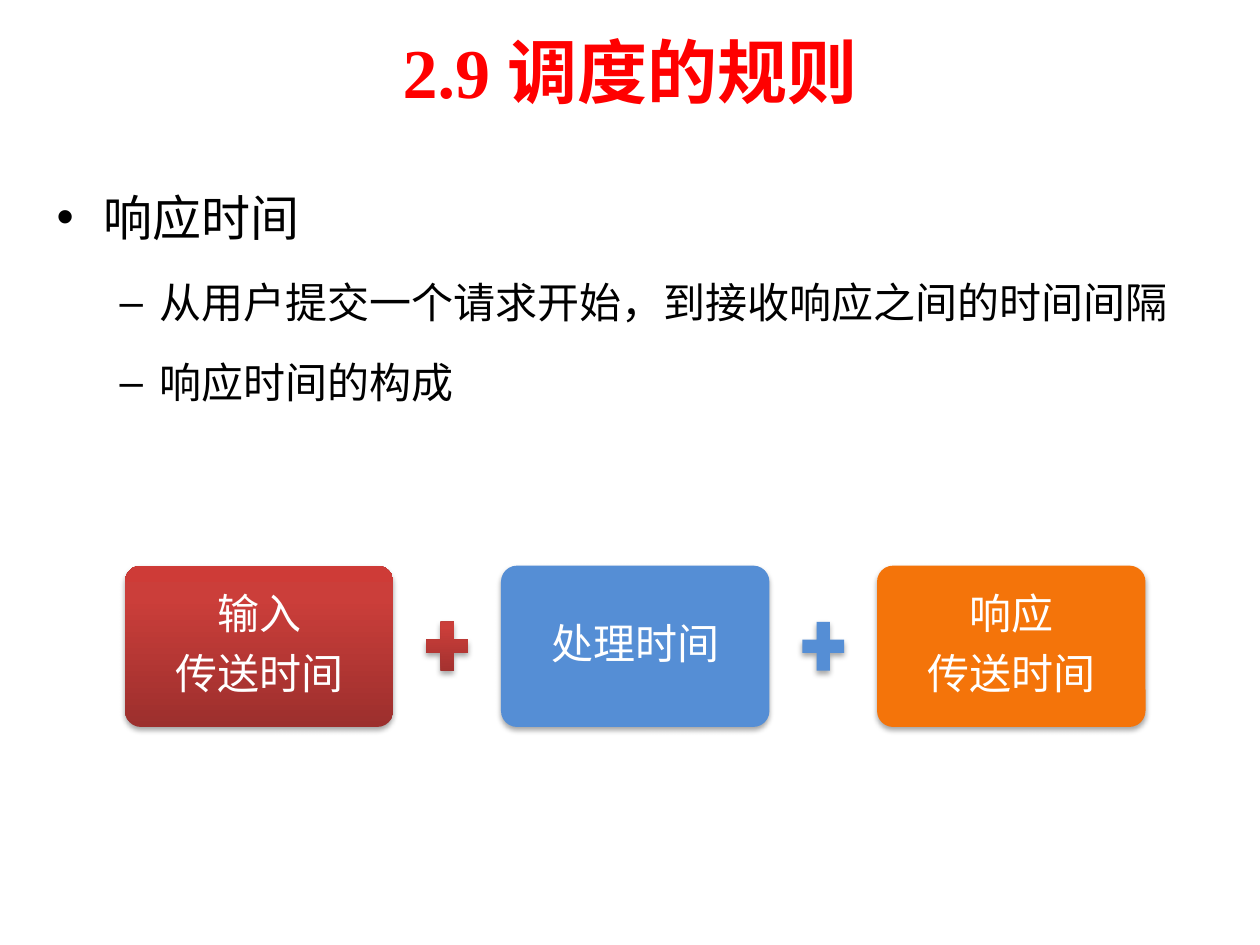
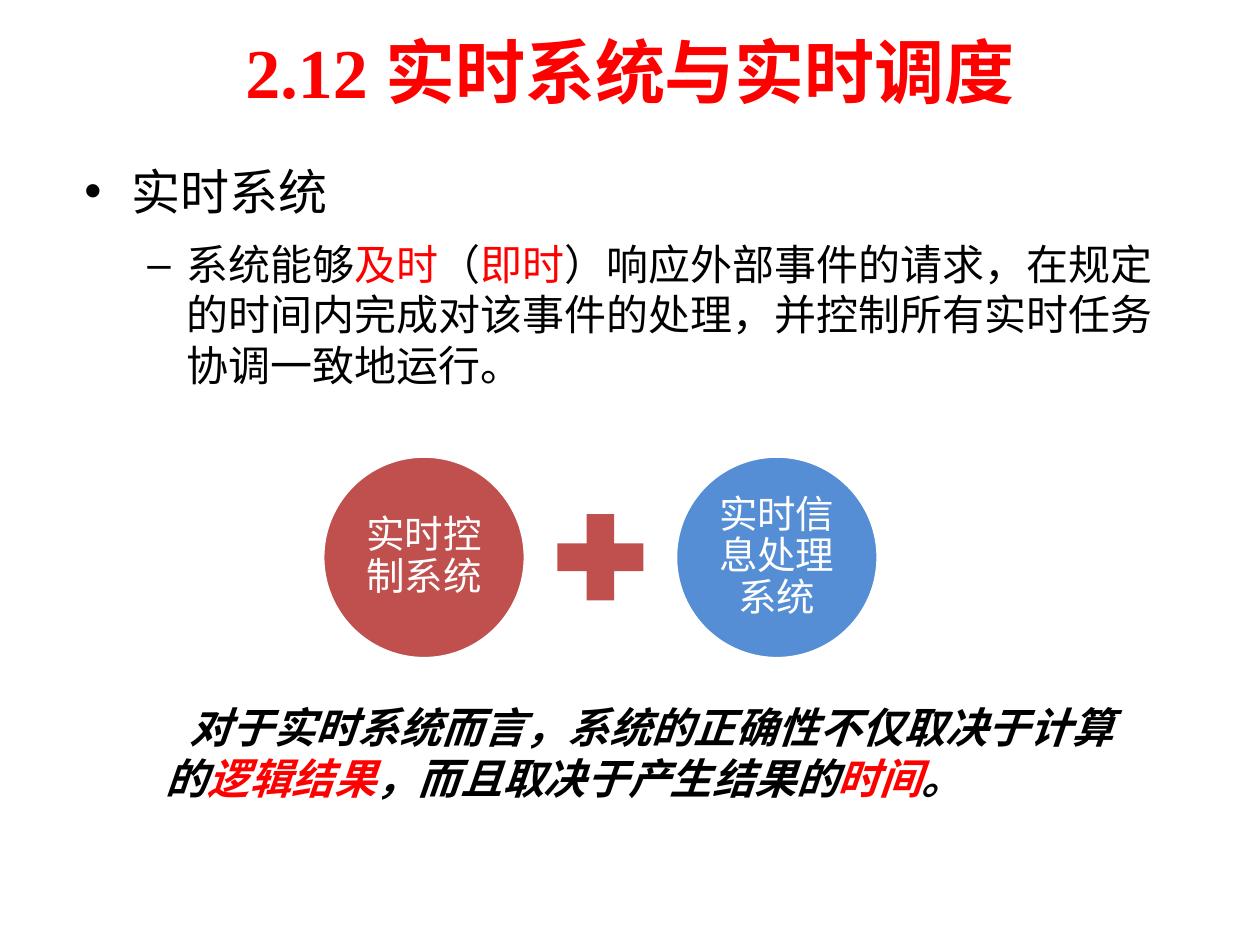
from copy import deepcopy
from dataclasses import dataclass
from typing import Optional

from pptx import Presentation
from pptx.dml.color import RGBColor
from pptx.enum.shapes import MSO_SHAPE
from pptx.enum.text import MSO_ANCHOR, MSO_AUTO_SIZE, PP_ALIGN
from pptx.oxml import parse_xml
from pptx.oxml.ns import nsdecls, qn
from pptx.util import Pt

# Shared look
RED, BLACK, WHITE = "FF0000", "000000", "FFFFFF"
BRICK, BLUE, ORANGE = "C0504D", "558ED5", "F4740A"
GLOSS = ((0, "9C2F2D"), (0.8, "CB3E3A"), (1, "CE3B37"))
SERIF, SANS, PLAIN = "Times New Roman", "Arial", "Calibri"
SIZES = (28, 24)

Words = tuple[str, str]


@dataclass
class Item:
    words: list[Words]
    level: int = 0
    font: str = SERIF


@dataclass
class Node:
    lines: list[str]
    fill: str | tuple


@dataclass
class Row:
    """Equal shapes with a plus sign centred in each gap."""
    kind: MSO_SHAPE
    left: float
    top: float
    wide: float
    high: float
    step: float
    plus: tuple[float, float]
    size: float
    inset: float
    round: Optional[float] = None
    edge: Optional[str] = None
    shade: bool = False


def rgb(code: str) -> RGBColor:
    return RGBColor.from_string(code)


def place(shape, left: float, top: float, wide: float, high: float) -> None:
    shape.left, shape.top = Pt(left), Pt(top)
    shape.width, shape.height = Pt(wide), Pt(high)


def write(para, words: list[Words]) -> None:
    for text, code in words:
        run = para.add_run()
        run.text = text
        run.font.color.rgb = rgb(code)


def paint(shape, fill: str | tuple) -> None:
    if isinstance(fill, str):
        shape.fill.solid()
        shape.fill.fore_color.rgb = rgb(fill)
        return
    shape.fill.gradient()
    shape.fill.gradient_angle = 90
    stops = shape._element.spPr.find(qn("a:gradFill")).find(qn("a:gsLst"))
    stops.append(deepcopy(stops[-1]))
    for stop, (spot, code) in zip(shape.fill.gradient_stops, fill):
        stop.position = spot
        stop.color.rgb = rgb(code)


def draw(slide, kind: MSO_SHAPE, box: tuple, fill: str | tuple, shade: bool):
    shape = slide.shapes.add_shape(kind, *map(Pt, box))
    paint(shape, fill)
    shape.line.fill.background()
    shape.shadow.inherit = False
    if shade:
        shape._element.spPr.find(qn("a:effectLst")).append(parse_xml(
            f'<a:outerShdw {nsdecls("a")} blurRad="{Pt(3.15)}" dist="{Pt(1.8)}" '
            'dir="5400000" rotWithShape="0"><a:srgbClr val="000000">'
            '<a:alpha val="35000"/></a:srgbClr></a:outerShdw>'))
    return shape


def label(shape, row: Row, lines: list[str]) -> None:
    frame = shape.text_frame
    frame.word_wrap = True
    frame.vertical_anchor = MSO_ANCHOR.MIDDLE
    frame.margin_left = frame.margin_right = Pt(row.inset)
    frame.margin_top = frame.margin_bottom = Pt(row.inset)
    for i, line in enumerate(lines):
        para = frame.add_paragraph() if i else frame.paragraphs[0]
        para.text = line
        para.alignment = PP_ALIGN.CENTER
        para.line_spacing = 0.9
        para.space_after = Pt(round(row.size * 0.35, 1))
        para.font.name, para.font.size = PLAIN, Pt(row.size)
        para.font.color.rgb = rgb(WHITE)


def chain(slide, row: Row, nodes: list[Node]) -> None:
    wide, high = row.plus
    for i, node in enumerate(nodes):
        left = row.left + i * row.step
        shape = draw(slide, row.kind, (left, row.top, row.wide, row.high),
                     node.fill, row.shade)
        if row.round is not None:
            shape.adjustments[0] = row.round
        if row.edge:
            shape.line.color.rgb = rgb(row.edge)
            shape.line.width = Pt(2)
        label(shape, row, node.lines)
        if i < len(nodes) - 1:
            box = (left + (row.wide + row.step - wide) / 2,
                   row.top + (row.high - high) / 2, wide, high)
            draw(slide, MSO_SHAPE.MATH_PLUS, box, node.fill, row.shade)


def start(deck, title: str, box: tuple, items: list[Item], lead: float):
    """Add a slide with its title and list."""
    slide = deck.slides.add_slide(deck.slide_layouts[1])
    head, body = slide.placeholders
    place(head, 36, 3.6, 648, 73.4)
    head.text_frame.auto_size = MSO_AUTO_SIZE.NONE
    head.text_frame.vertical_anchor = MSO_ANCHOR.MIDDLE
    para = head.text_frame.paragraphs[0]
    para.text = title
    para.alignment = PP_ALIGN.CENTER
    para.font.name, para.font.size, para.font.bold = SERIF, Pt(40), True
    para.font.color.rgb = rgb(RED)

    place(body, *box)
    frame = body.text_frame
    frame.auto_size = MSO_AUTO_SIZE.NONE
    for i, item in enumerate(items):
        para = frame.add_paragraph() if i else frame.paragraphs[0]
        write(para, item.words)
        size = SIZES[item.level]
        para.level = item.level
        para.line_spacing = lead
        para.space_before = Pt(size * 0.2 if i else 0)
        para.space_after = Pt(size * 0.2)
        para.font.name, para.font.size = item.font, Pt(size)
    return slide


def rules(deck) -> None:
    slide = start(deck, "2.9 调度的规则", (25.2, 95, 669, 356.4), [
        Item([("响应时间", BLACK)]),
        Item([("从用户提交一个请求开始，到接收响应之间的时间间隔", BLACK)], 1, SANS),
        Item([("响应时间的构成", BLACK)], 1, PLAIN),
    ], 1.25)
    row = Row(MSO_SHAPE.ROUNDED_RECTANGLE, 71.4, 323.2, 153.4, 92.2, 214.9,
              (32.5, 38), 24, 7.2, round=0.1, shade=True)
    chain(slide, row, [
        Node(["输入", "传送时间"], GLOSS),
        Node(["处理时间"], BLUE),
        Node(["响应", "传送时间"], ORANGE),
    ])


def timely(deck) -> None:
    slide = start(deck, "2.12 实时系统与实时调度", (41, 88.6, 648, 356.4), [
        Item([("实时系统", BLACK)]),
        Item([("系统能够", BLACK), ("及时", "FE0000"), ("（", BLACK),
              ("即时", "FE0000"),
              ("）响应外部事件的请求，在规定的时间内完成对该事件的处理，"
               "并控制所有实时任务协调一致地运行。", BLACK)], 1),
    ], 1)

    # Closing remark
    note = slide.shapes.add_textbox(Pt(87.8), Pt(397.4), Pt(561.6), Pt(65.5))
    note.text_frame.word_wrap = True
    para = note.text_frame.paragraphs[0]
    para._p.get_or_add_pPr().set("indent", str(Pt(13.3)))
    write(para, [("对于实时系统而言，系统的正确性不仅取决于计算的", BLACK),
                 ("逻辑结果", RED), ("，而且取决于产生结果的", BLACK),
                 ("时间", RED), ("。", BLACK)])
    para.font.name, para.font.size = SANS, Pt(24)
    para.font.bold = para.font.italic = True

    # Two kinds of system
    row = Row(MSO_SHAPE.OVAL, 184.4, 260.6, 115.8, 115.8, 201.6,
              (67, 67), 22, 2.2, edge=WHITE)
    chain(slide, row, [
        Node(["实时控制系统"], BRICK),
        Node(["实时信息处理系统"], BLUE),
    ])


def main() -> None:
    deck = Presentation()
    deck.slide_width, deck.slide_height = Pt(720), Pt(540)
    rules(deck)
    timely(deck)
    deck.save("out.pptx")


if __name__ == "__main__":
    main()
